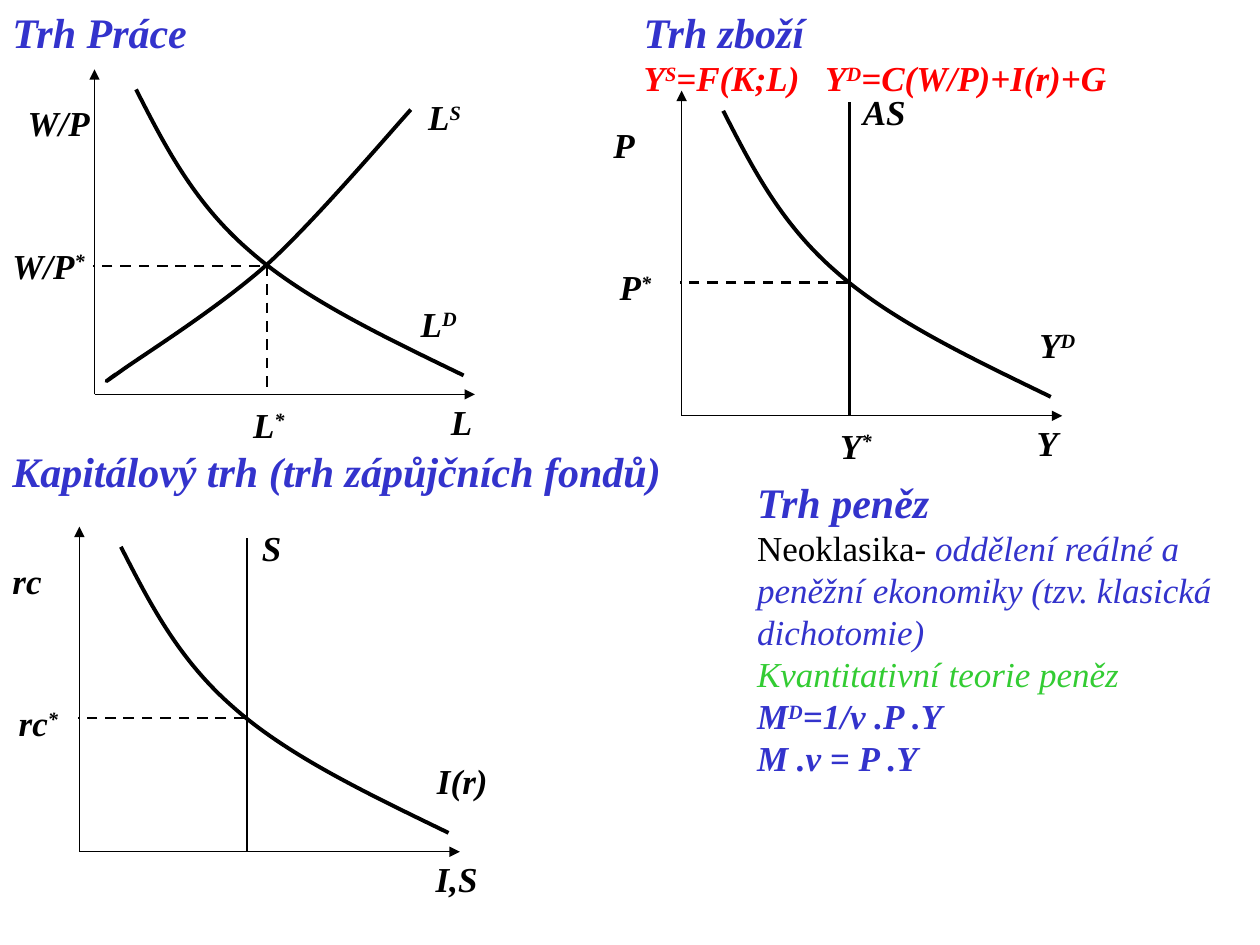
"""Build a slide of labour, goods, capital and money markets."""
from dataclasses import dataclass, field
from typing import Any, NamedTuple, Optional

from lxml.etree import SubElement
from pptx import Presentation
from pptx.dml.color import RGBColor as Color
from pptx.enum.dml import MSO_LINE_DASH_STYLE as Dash
from pptx.oxml.ns import qn
from pptx.util import Inches, Pt


@dataclass(frozen=True)
class Theme:
    font: str = "Times New Roman"
    title_size: int = 24
    text_size: int = 20
    axis_width: float = 0.75
    guide_width: float = 1.5
    curve_width: float = 2.25
    black: str = "000000"
    blue: str = "3333CC"
    red: str = "FF0000"
    green: str = "33CC33"


THEME = Theme()
BODY = {"size": Pt(THEME.text_size), "name": THEME.font, "bold": True, "italic": True}
TITLE = BODY | {"size": Pt(THEME.title_size)}
PLAIN = BODY | {"bold": False, "italic": False}
LIGHT = BODY | {"bold": False}


class Point(NamedTuple):
    x: float
    y: float


class Span(NamedTuple):
    text: str
    color: str = THEME.black
    style: dict[str, Any] = BODY
    raised: bool = False


class Label(NamedTuple):
    role: str
    x: float
    width: float
    text: str
    raised: str = ""


class TextBlock(NamedTuple):
    left: float
    top: float
    width: float
    height: float
    paragraphs: list[list[Span]]


@dataclass(frozen=True)
class Market:
    origin: Point
    labels: list[Label]
    guide_y: float = -1.06
    guide_drop: Optional[float] = None
    supply: list[Point] = field(default_factory=list)


LABEL_Y = {"vertical": -2.37, "horizontal": 0, "level": -1.24, "quantity": 0.02,
           "fixed supply": -2.63, "supply": -2.42, "demand": -0.78}
LABEL_HEIGHT = 0.43
AXIS_LENGTH = Point(3.02, -2.58)
EQUILIBRIUM_X = 1.33
SUPPLY_TOP = -2.49
DEMAND = [Point(0.33, -2.42), Point(0.56, -1.97), Point(0.79, -1.52), Point(1.23, -1.14),
          Point(1.66, -0.76), Point(2.29, -0.46), Point(2.93, -0.15)]
LABOUR_SUPPLY = [Point(0.17, -0.16), Point(0.1, -0.11), Point(0.02, -0.05), Point(0.23, -0.2),
                 Point(0.43, -0.34), Point(1, -0.7), Point(1.38, -1.04),
                 Point(1.76, -1.39), Point(2.33, -2.06), Point(2.51, -2.26)]

MARKETS = [
    Market(Point(0.75, 3.13), [
        Label("vertical", -0.63, 0.75, "W/P"), Label("horizontal", 2.73, 0.4, "L"),
        Label("level", -0.75, 0.86, "W/P", "*"), Label("quantity", 1.16, 0.58, "L", "*"),
        Label("supply", 2.55, 0.84, "L", "S"), Label("demand", 2.49, 0.7, "L", "D"),
    ], guide_y=-1.02, guide_drop=1.37, supply=LABOUR_SUPPLY),
    Market(Point(5.41, 3.3), [
        Label("vertical", -0.64, 0.48, "P"), Label("horizontal", 2.72, 0.4, "Y"),
        Label("level", -0.59, 0.59, "P", "*"), Label("quantity", 1.16, 0.52, "Y", "*"),
        Label("fixed supply", 1.34, 0.7, "AS"), Label("demand", 2.74, 0.66, "Y", "D"),
    ]),
    Market(Point(0.63, 6.76), [
        Label("vertical", -0.63, 0.48, "rc"), Label("horizontal", 2.73, 0.57, "I,S"),
        Label("level", -0.58, 0.59, "rc", "*"), Label("fixed supply", 1.35, 0.7, "S"),
        Label("demand", 2.74, 0.66, "I(r)"),
    ]),
]


def title(text: str) -> list[Span]:
    """Return a heading paragraph."""
    return [Span(text, THEME.blue, TITLE)]


TEXT_BLOCKS = [
    TextBlock(0, 0, 2.41, 0.5, [title("Trh Práce")]),
    TextBlock(5.01, 0, 4.32, 0.83, [
        title("Trh zboží"),
        [Span("Y", THEME.red), Span("S", THEME.red, raised=True),
         Span("=F(K;L)   Y", THEME.red), Span("D", THEME.red, raised=True),
         Span("=C(W/P)+I(r)+G", THEME.red)],
    ]),
    TextBlock(0, 3.49, 5.63, 0.5, [title("Kapitálový trh (trh zápůjčních fondů)")]),
    TextBlock(5.91, 3.73, 4.32, 2.52, [
        title("Trh peněz"),
        [Span("Neoklasika- ", style=PLAIN),
         Span("oddělení reálné a peněžní ekonomiky (tzv. klasická dichotomie)",
              THEME.blue, LIGHT)],
        [Span("Kvantitativní teorie peněz", THEME.green, LIGHT)],
        [Span("M", THEME.blue), Span("D", THEME.blue, raised=True),
         Span("=1/v .P .Y", THEME.blue)],
        [Span("M .v = P .Y", THEME.blue)],
    ]),
]


def add_text(slide: Any, block: TextBlock) -> None:
    """Add a text box made of styled spans."""
    frame = slide.shapes.add_textbox(*map(Inches, block[:4])).text_frame
    frame.word_wrap = True
    for index, spans in enumerate(block.paragraphs):
        paragraph = frame.add_paragraph() if index else frame.paragraphs[0]
        for span in spans:
            run = paragraph.add_run()
            run.text = span.text
            for name, value in span.style.items():
                setattr(run.font, name, value)
            run.font.color.rgb = Color.from_string(span.color)
            if span.raised:
                run._r.get_or_add_rPr().set("baseline", "30000")


def add_line(slide: Any, origin: Point, start: Point, end: Point, width: float,
             dashed: bool = False, arrow: bool = False) -> None:
    """Add a straight line between two points relative to the origin."""
    ends = [Inches(base + offset) for point in (start, end)
            for base, offset in zip(origin, point)]
    connector = slide.shapes.add_connector(1, *ends)
    connector.line.color.rgb = Color.from_string(THEME.black)
    connector.line.width = Pt(width)
    if dashed:
        connector.line.dash_style = Dash.DASH
    if arrow:
        SubElement(connector.line._get_or_add_ln(), qn("a:tailEnd"), type="triangle")
    SubElement(connector._element.spPr, qn("a:effectLst"))


def add_curve(slide: Any, origin: Point, points: list[Point]) -> None:
    """Add an open outline of cubic Bezier pieces."""
    start, *rest = [(Inches(origin.x + x), Inches(origin.y + y)) for x, y in points]
    builder = slide.shapes.build_freeform(*start)
    builder.add_line_segments(rest, close=False)
    shape = builder.convert_to_shape()
    shape.shadow.inherit = False
    shape.fill.background()
    shape.line.color.rgb = Color.from_string(THEME.black)
    shape.line.width = Pt(THEME.curve_width)
    outline = next(shape._element.iter(qn("a:path")))
    for index, segment in enumerate(outline.findall(qn("a:lnTo"))):
        if index % 3 == 0:
            cubic = SubElement(outline, qn("a:cubicBezTo"))
        cubic.append(segment[0])
        outline.remove(segment)


def add_market(slide: Any, market: Market) -> None:
    """Draw the axes, curves, guides and labels of one market."""
    origin, zero = market.origin, Point(0, 0)
    for end in (Point(AXIS_LENGTH.x, 0), Point(0, AXIS_LENGTH.y)):
        add_line(slide, origin, zero, end, THEME.axis_width, arrow=True)
    balance = Point(EQUILIBRIUM_X - 0.02, market.guide_y)
    add_line(slide, origin, balance, Point(-0.01, market.guide_y),
             THEME.guide_width, dashed=True)
    if market.guide_drop:
        add_line(slide, origin, Point(market.guide_drop, market.guide_y),
                 Point(market.guide_drop, -0.03), THEME.guide_width, dashed=True)
    add_curve(slide, origin, DEMAND)
    if market.supply:
        add_curve(slide, origin, market.supply)
    else:
        add_line(slide, origin, Point(EQUILIBRIUM_X, 0),
                 Point(EQUILIBRIUM_X, SUPPLY_TOP), THEME.guide_width)
    for label in market.labels:
        spans = [Span(label.text)]
        if label.raised:
            spans.append(Span(label.raised, raised=True))
        add_text(slide, TextBlock(origin.x + label.x, origin.y + LABEL_Y[label.role],
                                  label.width, LABEL_HEIGHT, [spans]))


def main() -> None:
    """Build and save the presentation."""
    presentation = Presentation()
    presentation.slide_width, presentation.slide_height = Inches(10), Inches(7.5)
    slide = presentation.slides.add_slide(presentation.slide_layouts[6])
    for block in TEXT_BLOCKS:
        add_text(slide, block)
    for market in MARKETS:
        add_market(slide, market)
    presentation.save("out.pptx")


if __name__ == "__main__":
    main()
